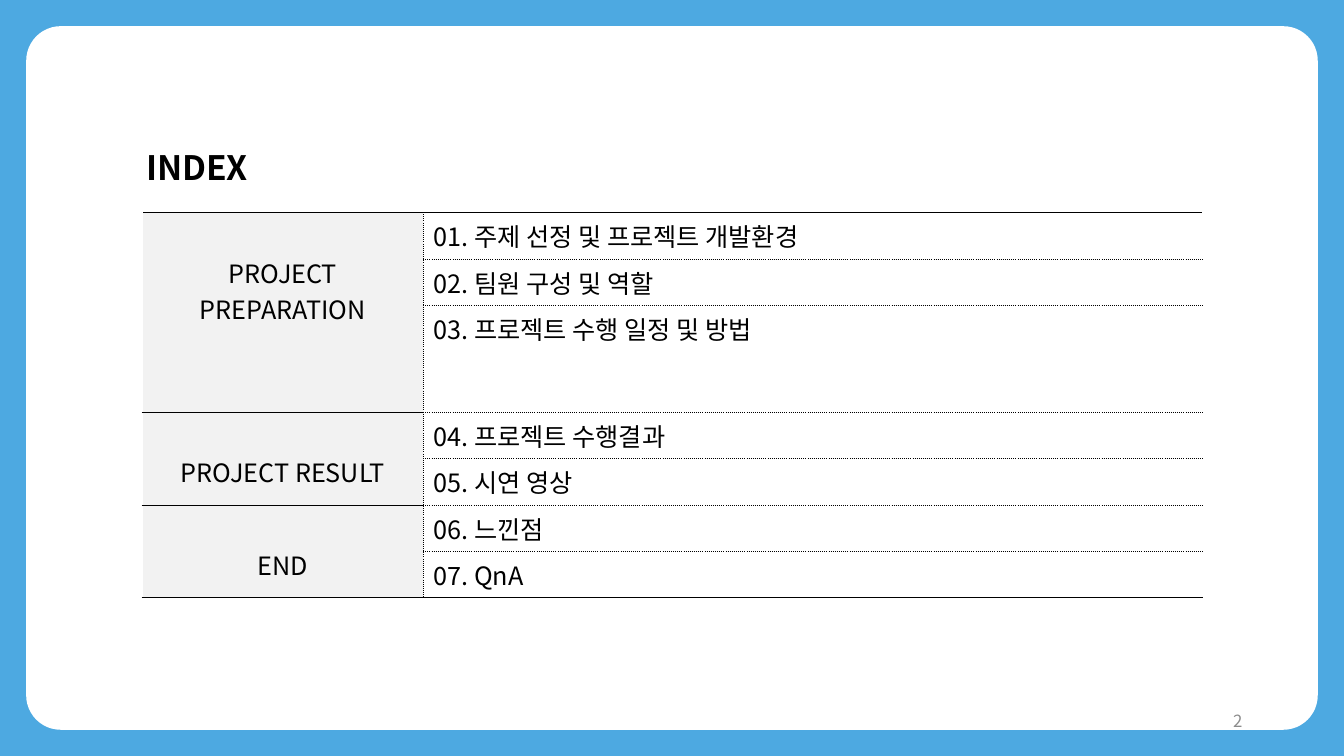
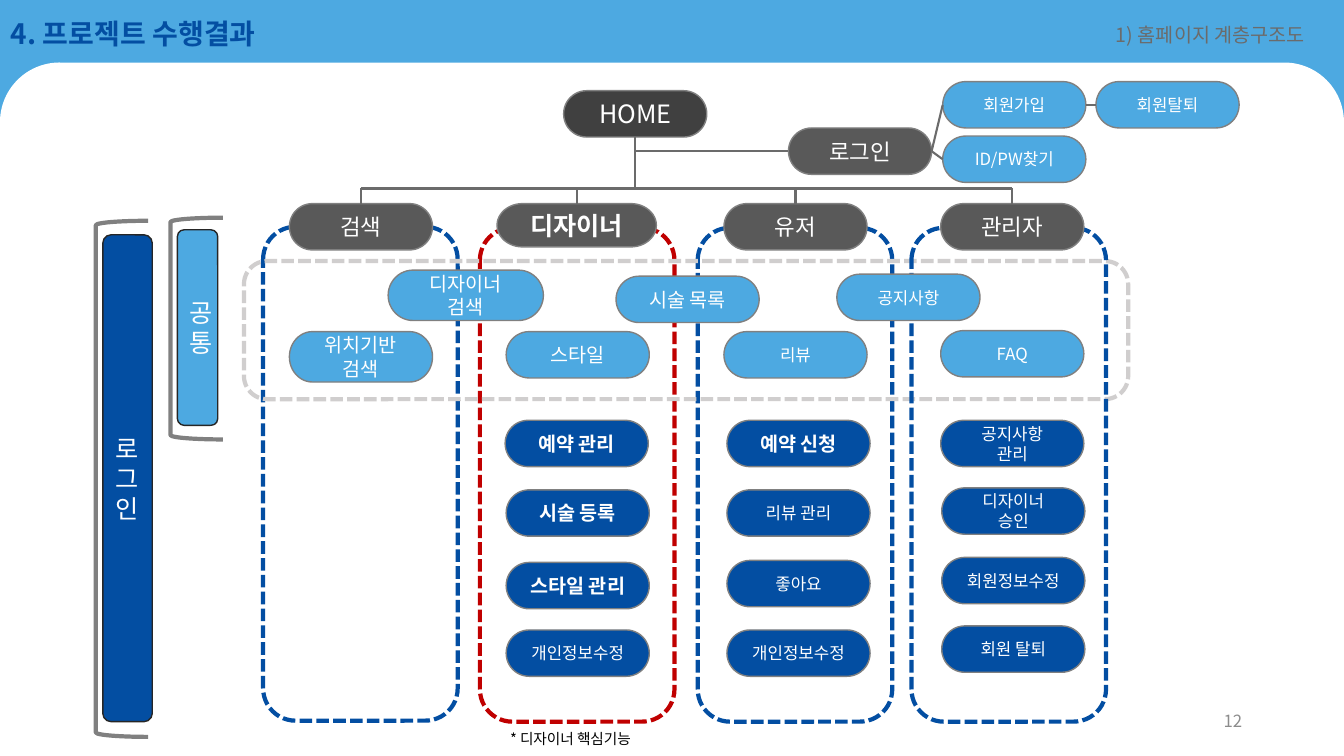
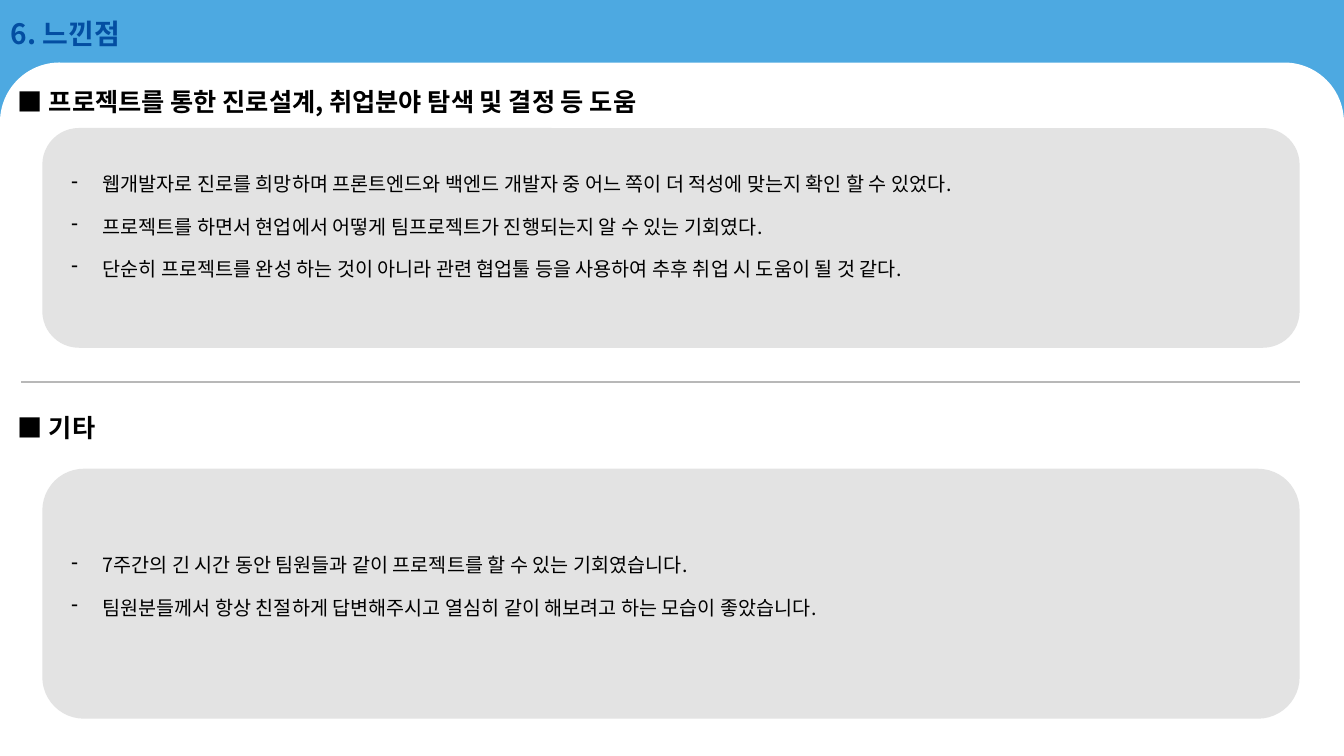
from typing import NamedTuple

from lxml import etree
from pptx import Presentation
from pptx.dml.color import RGBColor
from pptx.enum.dml import MSO_LINE
from pptx.enum.shapes import MSO_CONNECTOR, MSO_SHAPE
from pptx.enum.text import MSO_ANCHOR, PP_ALIGN
from pptx.oxml.ns import qn
from pptx.util import Emu, Pt

FRAME = MSO_SHAPE.FRAME
ROUNDED = MSO_SHAPE.ROUNDED_RECTANGLE
ROUND_TOP = MSO_SHAPE.ROUND_2_SAME_RECTANGLE
PILL = MSO_SHAPE.FLOWCHART_TERMINATOR
BRACKET = MSO_SHAPE.LEFT_BRACKET
STRAIGHT = MSO_CONNECTOR.STRAIGHT
DASH = MSO_LINE.SQUARE_DOT
TOP, MIDDLE = MSO_ANCHOR.TOP, MSO_ANCHOR.MIDDLE
LEFT, CENTER, RIGHT = PP_ALIGN.LEFT, PP_ALIGN.CENTER, PP_ALIGN.RIGHT
SITE_TOP, SITE_LEFT, SITE_BOTTOM, SITE_RIGHT = range(4)

EMU_PER_PX = 9144  # 100 px to the inch
SLIDE_W, SLIDE_H = 1333, 750
FONT = "Noto Sans CJK KR"
COLORS = {
    "sky": "4DA9E1", "navy": "034EA2", "red": "C00000", "white": "FFFFFF",
    "black": "000000", "ink": "262626", "charcoal": "404040", "slate": "595959",
    "link": "6B6B6B", "outline": "808080", "page": "8C8C8C", "rule": "B8B8B8",
    "pale": "D0CECE", "panel": "E3E3E3", "cell": "F2F2F2",
}


class Box(NamedTuple):
    x: int
    y: int
    w: int
    h: int


class Style(NamedTuple):
    size: float
    color: str = "black"
    bold: bool = False
    align: PP_ALIGN = LEFT
    anchor: MSO_ANCHOR = TOP
    spacing: float | None = None


class Border(NamedTuple):
    color: str
    width: float
    dash: str = "solid"


class Node(NamedTuple):
    text: str
    x: int
    y: int
    fill: str
    size: float = 12
    bold: bool = False
    w: int = 142
    h: int = 46


class Outline(NamedTuple):
    box: Box
    color: str


class Chapter(NamedTuple):
    name: str
    topics: tuple[str, ...]


class Section(NamedTuple):
    heading: str
    heading_y: int
    panel: Box
    remarks_y: int
    remarks: tuple[str, ...]


def px(value: int) -> Emu:
    return Emu(value * EMU_PER_PX)


def rgb(name: str) -> RGBColor:
    return RGBColor.from_string(COLORS[name])


# ---- Shared drawing functions ----
def add_run(paragraph, text: str, style: Style) -> None:
    run = paragraph.add_run()
    run.text = text
    font = run.font
    font.size, font.bold, font.name = Pt(style.size), style.bold, FONT
    font.color.rgb = rgb(style.color)
    etree.SubElement(run._r.get_or_add_rPr(), qn("a:ea"), typeface=FONT)


def write(frame, lines: list[str] | tuple[str, ...], style: Style):
    """Writes one paragraph a line and returns the paragraphs."""
    frame.word_wrap = True
    frame.vertical_anchor = style.anchor
    for index, line in enumerate(lines):
        paragraph = frame.add_paragraph() if index else frame.paragraphs[0]
        paragraph.alignment = style.align
        if style.spacing:
            paragraph.line_spacing = style.spacing
        add_run(paragraph, line, style)
    return frame.paragraphs


def add_text(slide, box: Box, lines: list[str] | tuple[str, ...], style: Style):
    frame = slide.shapes.add_textbox(*map(px, box)).text_frame
    return write(frame, lines, style)


def add_block(slide, preset, box: Box, fill: str | None = None,
              line: str | None = None, width: float = 1, dash=None,
              adjust: tuple[float, ...] = ()):
    block = slide.shapes.add_shape(preset, *map(px, box))
    block.shadow.inherit = False
    for index, value in enumerate(adjust):
        block.adjustments[index] = value
    if fill:
        block.fill.solid()
        block.fill.fore_color.rgb = rgb(fill)
    else:
        block.fill.background()
    if line:
        block.line.color.rgb = rgb(line)
        block.line.width = Pt(width)
        if dash:
            block.line.dash_style = dash
    else:
        block.line.fill.background()
    return block


def add_line(slide, start: tuple[int, int], end: tuple[int, int],
             color: str = "link", width: float = 1.5):
    line = slide.shapes.add_connector(STRAIGHT, *map(px, (*start, *end)))
    line.line.color.rgb = rgb(color)
    line.line.width = Pt(width)
    etree.SubElement(line._element.spPr, qn("a:effectLst"))
    return line


def add_page_number(slide, number: int) -> None:
    style = Style(12, "page", align=RIGHT, anchor=MIDDLE)
    add_text(slide, Box(942, 695, 300, 40), [str(number)], style)


def new_slide(deck, background: str):
    slide = deck.slides.add_slide(deck.slide_layouts[6])
    slide.background.fill.solid()
    slide.background.fill.fore_color.rgb = rgb(background)
    return slide


def new_content_slide(deck, title: str):
    slide = new_slide(deck, "sky")
    add_block(slide, ROUND_TOP, Box(0, 62, SLIDE_W, 688), "white", adjust=(0.086, 0))
    add_text(slide, Box(1, 4, 535, 58), [title],
             Style(20, "navy", bold=True, anchor=MIDDLE))
    return slide


# ---- Index ----
CHAPTERS = (
    Chapter("PROJECT PREPARATION", (
        "01. 주제 선정 및 프로젝트 개발환경",
        "02. 팀원 구성 및 역할",
        "03. 프로젝트 수행 일정 및 방법")),
    Chapter("PROJECT RESULT", ("04. 프로젝트 수행결과", "05. 시연 영상")),
    Chapter("END", ("06. 느낀점", "07. QnA")),
)
ROW_HEIGHTS = (46, 46, 100, 46, 46, 46, 46)
COLUMN_WIDTHS = (279, 773)
HEAVY, THIN = Border("black", 1), Border("black", 0.5)
DOTTED, HIDDEN = Border("black", 0.5, "sysDot"), Border("white", 1)


def set_borders(cell, left: Border, right: Border, top: Border, bottom: Border) -> None:
    properties = cell._tc.get_or_add_tcPr()
    sides = {"a:lnL": left, "a:lnR": right, "a:lnT": top, "a:lnB": bottom}
    for tag, border in sides.items():
        line = etree.SubElement(properties, qn(tag), w=str(Pt(border.width)))
        fill = etree.SubElement(line, qn("a:solidFill"))
        etree.SubElement(fill, qn("a:srgbClr"), val=COLORS[border.color])
        etree.SubElement(line, qn("a:prstDash"), val=border.dash)


def build_index(deck) -> None:
    slide = new_slide(deck, "white")
    add_block(slide, FRAME, Box(0, 0, SLIDE_W, SLIDE_H), "sky", adjust=(0.058,))
    add_block(slide, ROUNDED, Box(26, 26, 1281, 698), "white", adjust=(0.049,))
    add_page_number(slide, 2)
    add_text(slide, Box(135, 141, 251, 50), ["INDEX"], Style(24, bold=True))

    area = Box(141, 211, sum(COLUMN_WIDTHS), sum(ROW_HEIGHTS))
    table = slide.shapes.add_table(
        len(ROW_HEIGHTS), len(COLUMN_WIDTHS), *map(px, area)).table
    table.first_row = table.horz_banding = False
    for column, width in zip(table.columns, COLUMN_WIDTHS):
        column.width = px(width)
    for row, height in zip(table.rows, ROW_HEIGHTS):
        row.height = px(height)

    last_row = len(ROW_HEIGHTS) - 1
    first = 0
    for chapter in CHAPTERS:
        last = first + len(chapter.topics) - 1
        for row, topic in enumerate(chapter.topics, first):
            name_cell, topic_cell = table.cell(row, 0), table.cell(row, 1)
            set_borders(name_cell, HIDDEN, DOTTED,
                        HEAVY if first == 0 else THIN,
                        HEAVY if last == last_row else THIN)
            name_cell.fill.solid()
            name_cell.fill.fore_color.rgb = rgb("cell")
            set_borders(topic_cell, DOTTED, HIDDEN,
                        HEAVY if row == 0 else DOTTED,
                        HEAVY if row == last_row else DOTTED)
            topic_cell.fill.background()
            write(topic_cell.text_frame, [topic], Style(18))
        chapter_cell = table.cell(first, 0)
        chapter_cell.merge(table.cell(last, 0))
        write(chapter_cell.text_frame, [chapter.name], Style(18, align=CENTER))
        chapter_cell.margin_top = px(41)
        first = last + 1


# ---- Page hierarchy ----
OUTLINES = (
    Outline(Box(261, 225, 193, 490), "navy"),
    Outline(Box(476, 226, 193, 490), "red"),
    Outline(Box(692, 226, 193, 490), "navy"),
    Outline(Box(242, 259, 877, 137), "pale"),
    Outline(Box(904, 226, 193, 490), "navy"),
)
HOME = Node("HOME", 559, 90, "charcoal", 18)
LOGIN = Node("로그인", 782, 127, "slate", 16)
SIGN_UP = Node("회원가입", 935, 81, "sky")
FIND_ID = Node("ID/PW찾기", 935, 135, "sky")
LEAVE = Node("회원탈퇴", 1087, 81, "sky")
MENUS = (
    Node("검색", 287, 202, "slate", 16),
    Node("디자이너", 493, 202, "slate", 18, True, 158, 43),
    Node("유저", 718, 202, "slate", 16),
    Node("관리자", 933, 202, "slate", 16),
)
PAGES = (
    # Open to everyone
    Node("디자이너\n검색", 385, 268, "sky", 14, w=154, h=50),
    Node("시술 목록", 611, 274, "sky", 14),
    Node("공지사항", 830, 272, "sky"),
    Node("위치기반\n검색", 287, 329, "sky", 14, h=50),
    Node("스타일", 502, 329, "sky", 14),
    Node("리뷰", 718, 329, "sky"),
    Node("FAQ", 933, 328, "sky"),
    # Designer
    Node("예약 관리", 501, 417, "navy", 14, True),
    Node("시술 등록", 502, 486, "navy", 14, True),
    Node("스타일 관리", 502, 558, "navy", 14, True),
    Node("개인정보수정", 502, 625, "navy"),
    # User
    Node("예약 신청", 721, 417, "navy", 14, True),
    Node("리뷰 관리", 721, 486, "navy"),
    Node("좋아요", 721, 556, "navy"),
    Node("개인정보수정", 721, 625, "navy"),
    # Administrator
    Node("공지사항\n관리", 933, 417, "navy"),
    Node("디자이너\n승인", 934, 484, "navy"),
    Node("회원정보수정", 934, 553, "navy"),
    Node("회원 탈퇴", 934, 621, "navy"),
)
ACCESS_BARS = (
    Node("공통", 176, 228, "sky", 18, w=40, h=194),
    Node("로그인", 102, 233, "navy", 18, w=49, h=483),
)
ACCESS_BRACKETS = (Box(169, 216, 52, 220), Box(95, 219, 52, 512))
BUS_Y = 187


def add_node(slide, node: Node, preset=PILL, line: str = "outline"):
    block = add_block(slide, preset, Box(node.x, node.y, node.w, node.h), node.fill, line)
    write(block.text_frame, node.text.split("\n"),
          Style(node.size, "white", node.bold, CENTER, MIDDLE))
    return block


def center(node: Node) -> tuple[int, int]:
    return node.x + node.w // 2, node.y + node.h // 2


def build_hierarchy(deck) -> None:
    slide = new_content_slide(deck, "4. 프로젝트 수행결과")
    add_text(slide, Box(1097, 18, 235, 34), ["1) 홈페이지 계층구조도"], Style(14, "link"))
    add_page_number(slide, 12)
    for outline in OUTLINES:
        add_block(slide, ROUNDED, outline.box, line=outline.color, width=3, dash=DASH)
    for bracket in ACCESS_BRACKETS:
        add_block(slide, BRACKET, bracket, line="outline", width=3)
    for bar in ACCESS_BARS:
        add_node(slide, bar, ROUNDED, "ink")
    for page in PAGES:
        add_node(slide, page)
    blocks = {node: add_node(slide, node)
              for node in (HOME, LOGIN, SIGN_UP, FIND_ID, LEAVE, *MENUS)}

    # Trunk, bus and drops to the menus
    trunk_x = center(HOME)[0]
    trunk = add_line(slide, center(HOME), (trunk_x, BUS_Y))
    trunk.begin_connect(blocks[HOME], SITE_BOTTOM)
    add_line(slide, (center(MENUS[0])[0], BUS_Y), (center(MENUS[-1])[0], BUS_Y))
    for menu in MENUS:
        drop = add_line(slide, (center(menu)[0], BUS_Y), center(menu))
        drop.end_connect(blocks[menu], SITE_TOP)

    # Login branch
    branch = add_line(slide, (trunk_x, center(LOGIN)[1]), center(LOGIN))
    branch.end_connect(blocks[LOGIN], SITE_LEFT)
    for source, target in ((LOGIN, SIGN_UP), (LOGIN, FIND_ID), (SIGN_UP, LEAVE)):
        link = add_line(slide, center(source), center(target))
        link.begin_connect(blocks[source], SITE_RIGHT)
        link.end_connect(blocks[target], SITE_LEFT)

    add_text(slide, Box(496, 719, 162, 28), ["* 디자이너 핵심기능"], Style(10.5))


# ---- Reflections ----
SECTIONS = (
    Section("■ 프로젝트를 통한 진로설계, 취업분야 탐색 및 결정 등 도움", 66,
            Box(42, 127, 1247, 218), 166, (
                "웹개발자로 진로를 희망하며 프론트엔드와 백엔드 개발자 중 어느 쪽이 더 적성에 맞는지 확인 할 수 있었다.",
                "프로젝트를 하면서 현업에서 어떻게 팀프로젝트가 진행되는지 알 수 있는 기회였다.",
                "단순히 프로젝트를 완성 하는 것이 아니라 관련 협업툴 등을 사용하여 추후 취업 시 도움이 될 것 같다.")),
    Section("■ 기타", 390, Box(42, 465, 1247, 248), 544, (
        "7주간의 긴 시간 동안 팀원들과 같이 프로젝트를 할 수 있는 기회였습니다.",
        "팀원분들께서 항상 친절하게 답변해주시고 열심히 같이 해보려고 하는 모습이 좋았습니다.")),
)
REMARK_INDENT, REMARK_STEP, REMARK_GAP = 31, 47, 13.3


def add_remarks(slide, section: Section) -> None:
    box = Box(61, section.remarks_y, 1212, REMARK_STEP * len(section.remarks))
    for index, remark in enumerate(add_text(slide, box, section.remarks, Style(14))):
        properties = remark._p.get_or_add_pPr()
        properties.set("marL", str(px(REMARK_INDENT)))
        properties.set("indent", str(px(-REMARK_INDENT)))
        etree.SubElement(properties, qn("a:buChar"), char="-")
        if index:
            remark.space_before = Pt(REMARK_GAP)


def build_reflections(deck) -> None:
    slide = new_content_slide(deck, "6. 느낀점")
    heading_style = Style(18, bold=True, anchor=MIDDLE, spacing=1.5)
    for section in SECTIONS:
        add_text(slide, Box(8, section.heading_y, 1068, 54),
                 [section.heading], heading_style)
        add_block(slide, ROUNDED, section.panel, "panel")
        add_remarks(slide, section)
    add_line(slide, (21, 379), (1289, 379), "rule", 1)


def main() -> None:
    deck = Presentation()
    deck.slide_width, deck.slide_height = px(SLIDE_W), px(SLIDE_H)
    build_index(deck)
    build_hierarchy(deck)
    build_reflections(deck)
    deck.save("out.pptx")


if __name__ == "__main__":
    main()
